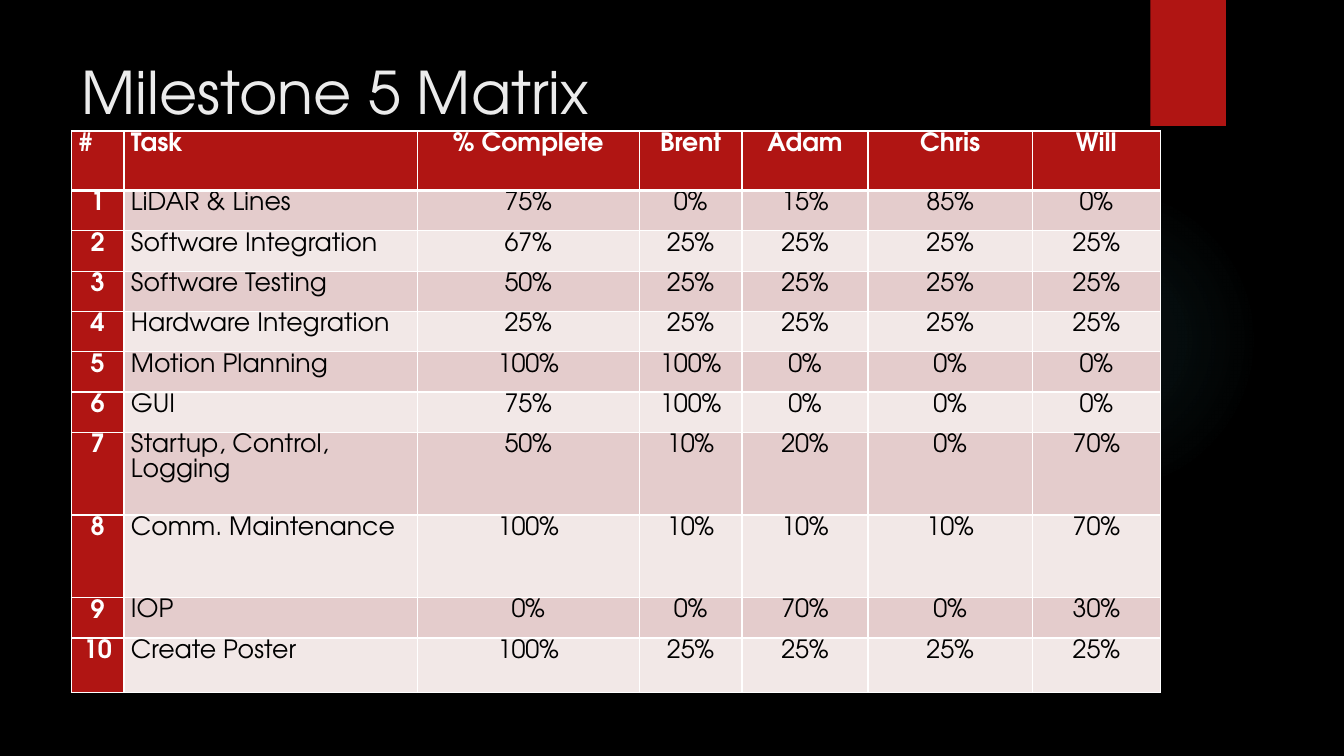
from lxml import etree
from pptx import Presentation, util as u
from pptx.dml.color import RGBColor
from pptx.enum import shapes, text
from pptx.oxml import ns, parse_xml

BLACK = RGBColor(0x00, 0x00, 0x00)
WHITE = RGBColor(0xFF, 0xFF, 0xFF)
TITLE = RGBColor(0xEB, 0xEB, 0xEB)
RED = RGBColor(0xB0, 0x15, 0x13)
GLOW = RGBColor(0x50, 0xB9, 0xC1)
BANDS = [RGBColor(0xF2, 0xE8, 0xE7), RGBColor(0xE4, 0xCC, 0xCC)]
FONT = "TeX Gyre Adventor"

COLS = [0.52, 2.91, 2.2, 1.02, 1.25, 1.63, 1.27]
ROWS = [0.59] + [0.4] * 6 + [0.82] * 2 + [0.4, 0.54]
LEFT = 0.71
HEADER = ["#", "Task", "% Complete", "Brent", "Adam", "Chris", "Will"]
TASKS = [
    ("LiDAR & Lines", 75, 0, 15, 85, 0),
    ("Software Integration", 67, 25, 25, 25, 25),
    ("Software Testing", 50, 25, 25, 25, 25),
    ("Hardware Integration", 25, 25, 25, 25, 25),
    ("Motion Planning", 100, 100, 0, 0, 0),
    ("GUI", 75, 100, 0, 0, 0),
    ("Startup, Control, Logging", 50, 10, 20, 0, 70),
    ("Comm. Maintenance", 100, 10, 10, 10, 70),
    ("IOP", 0, 0, 70, 0, 30),
    ("Create Poster", 100, 25, 25, 25, 25),
]


def style(font, size, color, bold=False):
    fmt = {"name": FONT, "size": u.Pt(size), "bold": bold}
    for key, value in fmt.items():
        setattr(font, key, value)
    font.color.rgb = color


def set_borders(cell, widths):
    tcPr = cell._tc.get_or_add_tcPr()
    for i, (side, width) in enumerate(widths.items()):
        ln = etree.Element(ns.qn(f"a:{side}"), w=str(u.Pt(width)))
        fill = etree.SubElement(ln, ns.qn("a:solidFill"))
        etree.SubElement(fill, ns.qn("a:srgbClr"), val=str(WHITE))
        tcPr.insert(i, ln)


prs = Presentation()
prs.slide_width, prs.slide_height = u.Inches(13.33), u.Inches(7.5)
s = prs.slides.add_slide(prs.slide_layouts[6])
s.background.fill.solid()
s.background.fill.fore_color.rgb = BLACK

# Soft glow and red tab
glow = s.shapes.add_shape(shapes.MSO_SHAPE.OVAL, u.Inches(9.41), u.Inches(1.83),
                          u.Inches(3.08), u.Inches(3.08))
tab = s.shapes.add_shape(shapes.MSO_SHAPE.RECTANGLE, u.Inches(11.41), 0,
                         u.Inches(0.75), prs.slide_height // 6)
for sp in (glow, tab):
    sp.shadow.inherit = False
    sp.line.fill.background()
tab.fill.solid()
tab.fill.fore_color.rgb = RED

stops = "".join(
    f'<a:gs pos="{pos * 1000}"><a:srgbClr val="{GLOW}">'
    f'<a:alpha val="{alpha * 1000}"/></a:srgbClr></a:gs>'
    for pos, alpha in [(0, 7), (36, 6), (69, 0), (100, 0)])
glow._element.spPr.find(ns.qn("a:prstGeom")).addnext(parse_xml(
    f'<a:gradFill {ns.nsdecls("a")}><a:gsLst>{stops}</a:gsLst><a:path path="circle">'
    '<a:fillToRect l="50000" t="50000" r="50000" b="50000"/></a:path></a:gradFill>'))

# Title
sp = s.shapes.add_textbox(u.Inches(LEFT), u.Inches(0.5), u.Inches(10.29), u.Inches(1.53))
tf = sp.text_frame
tf.word_wrap = True
tf.vertical_anchor = text.MSO_ANCHOR.TOP
r = tf.paragraphs[0].add_run()
r.text = "Milestone 5 Matrix"
style(r.font, 42, TITLE)

# Task table
table = s.shapes.add_table(len(ROWS), len(COLS), u.Inches(LEFT), u.Inches(1.3),
                           u.Inches(sum(COLS)), u.Inches(sum(ROWS))).table
for column, width in zip(table.columns, COLS):
    column.width = u.Inches(width)
for row, height in zip(table.rows, ROWS):
    row.height = u.Inches(height)

body = [[str(n), task] + [f"{v}%" for v in shares]
        for n, (task, *shares) in enumerate(TASKS, 1)]
for i, values in enumerate([HEADER] + body):
    for j, value in enumerate(values):
        cell = table.cell(i, j)
        strong = i == 0 or j == 0
        margins = {"margin_left": 0.07, "margin_right": 0.07,
                   "margin_top": 0, "margin_bottom": 0}
        for key, inches in margins.items():
            setattr(cell, key, u.Inches(inches))
        cell.fill.solid()
        cell.fill.fore_color.rgb = RED if strong else BANDS[i % 2]
        set_borders(cell, {"lnL": 1, "lnR": 1, "lnT": 3 if i == 1 else 1,
                           "lnB": 3 if i == 0 else 1})
        p = cell.text_frame.paragraphs[0]
        p.line_spacing = u.Pt(18)
        left = j == 1 or (i == 0 and j == 0)
        p.alignment = text.PP_ALIGN.LEFT if left else text.PP_ALIGN.CENTER
        r = p.add_run()
        r.text = value
        style(r.font, 18, WHITE if strong else BLACK, strong)

prs.save("out.pptx")
